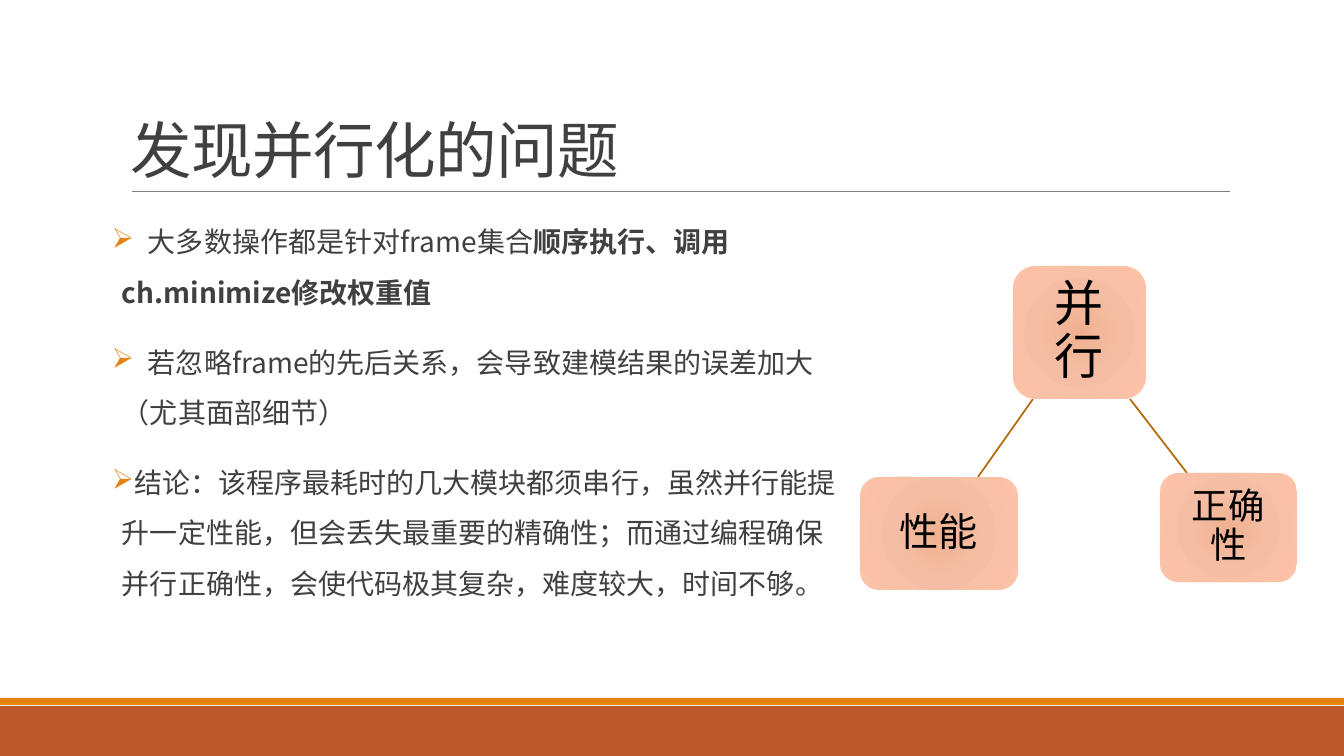
from dataclasses import dataclass

from lxml import etree
from pptx import Presentation
from pptx import util as u
from pptx.dml import color
from pptx.enum import shapes, text
from pptx.oxml import ns, parse_xml

PX_PER_INCH = 100.8


@dataclass(frozen=True)
class Theme:
    """Colours, font and type sizes of the slide."""
    font: str = "Noto Sans CJK SC"
    ink: str = "404040"
    black: str = "000000"
    rule: str = "808080"
    base: str = "BD582C"
    accent: str = "E48312"
    link: str = "B7690E"
    node: tuple = ((0, "F0B191"), (45, "F5BEA4"), (100, "FDC3A8"))
    title_size: int = 44
    body_size: int = 20


THEME = Theme()

POINTS = [
    [("\t大多数操作都是针对frame集合", False), ("顺序执行、调用ch.minimize修改权重值", True)],
    [("\t若忽略frame的先后关系，会导致建模结果的误差加大（尤其面部细节）", False)],
    [("结论：该程序最耗时的几大模块都须串行，虽然并行能提升一定性能，但会丢失最重要的精确性；"
      "而通过编程确保并行正确性，会使代码极其复杂，难度较大，时间不够。", False)],
]
NODES = [
    ("并行", 35, (1013, 266, 133, 133)),
    ("性能", 28, (860, 477, 158, 113)),
    ("正确性", 26, (1160, 473, 137, 109)),
]
LINKS = [(1033, 399, 978, 477), (1130, 399, 1187, 473)]


def px(*lengths):
    """Turn pixel lengths into EMU."""
    return [u.Emu(round(length * 914400 / PX_PER_INCH)) for length in lengths]


def rgb(code):
    """Turn a hex code into a colour."""
    return color.RGBColor.from_string(code)


def apply(target, formats):
    """Set each format value on the target."""
    for name, value in formats.items():
        setattr(target, name, value)


def add_span(para, words, size, ink, bold=False):
    """Add a run in the theme font for Latin and East Asian text."""
    span = para.add_run()
    span.text = words
    apply(span.font, {"name": THEME.font, "size": u.Pt(size), "bold": bold})
    span.font.color.rgb = rgb(ink)
    properties = span._r.get_or_add_rPr()
    etree.SubElement(properties, ns.qn("a:ea"), typeface=THEME.font)
    return properties


def set_frame(frame, anchor, side, edge):
    """Set wrapping, anchor and insets of a text frame."""
    side, edge = px(side, edge)
    apply(frame, {"word_wrap": True, "auto_size": text.MSO_AUTO_SIZE.NONE,
                  "vertical_anchor": anchor, "margin_left": side,
                  "margin_right": side, "margin_top": edge, "margin_bottom": edge})


def add_bar(page, top, height, fill):
    """Add a full-width bar."""
    bar = page.shapes.add_shape(shapes.MSO_SHAPE.RECTANGLE, *px(0, top, 1344, height))
    bar.shadow.inherit = False
    bar.fill.solid()
    bar.fill.fore_color.rgb = rgb(fill)
    bar.line.fill.background()


def add_line(page, ends, ink, width):
    """Add a straight line without shadow."""
    line = page.shapes.add_connector(shapes.MSO_CONNECTOR.STRAIGHT, *px(*ends))
    line.line.color.rgb = rgb(ink)
    line.line.width = u.Pt(width)
    etree.SubElement(line._element.spPr, ns.qn("a:effectLst"))


def set_title(page, words):
    """Place and fill the title."""
    title = page.shapes.title
    apply(title, dict(zip(("left", "top", "width", "height"), px(121, 31, 1109, 160))))
    set_frame(title.text_frame, text.MSO_ANCHOR.BOTTOM, 10, 5)
    para = title.text_frame.paragraphs[0]
    apply(para, {"alignment": text.PP_ALIGN.LEFT, "line_spacing": 0.85})
    add_span(para, words, THEME.title_size, THEME.ink).set("spc", "-50")


def add_bullet(para):
    """Give a paragraph an arrow bullet, a hanging indent and a tab stop."""
    indent, stop = px(10, 36)
    properties = para._p.get_or_add_pPr()
    properties.set("marL", str(indent))
    properties.set("indent", str(-indent))
    tint = etree.SubElement(properties, ns.qn("a:buClr"))
    etree.SubElement(tint, ns.qn("a:srgbClr"), val=THEME.accent)
    etree.SubElement(properties, ns.qn("a:buChar"), char="➢")
    tabs = etree.SubElement(properties, ns.qn("a:tabLst"))
    etree.SubElement(tabs, ns.qn("a:tab"), pos=str(stop), algn="l")


def add_points(page, points):
    """Add the bulleted text."""
    box = page.shapes.add_textbox(*px(112, 203, 731, 482))
    frame = box.text_frame
    set_frame(frame, text.MSO_ANCHOR.TOP, 0, 5)
    for index, spans in enumerate(points):
        para = frame.add_paragraph() if index else frame.paragraphs[0]
        add_bullet(para)
        apply(para, {"line_spacing": 1.5, "space_before": u.Pt(12 if index else 0),
                     "space_after": u.Pt(2)})
        for words, bold in spans:
            add_span(para, words, THEME.body_size, THEME.ink, bold)


def add_node(page, words, size, place):
    """Add a rounded box with a radial gradient and a centred label."""
    node = page.shapes.add_shape(shapes.MSO_SHAPE.ROUNDED_RECTANGLE, *px(*place))
    node.shadow.inherit = False
    node.line.fill.background()
    stops = "".join(f'<a:gs pos="{at * 1000}"><a:srgbClr val="{tint}"/></a:gs>'
                    for at, tint in THEME.node)
    corner = " ".join(f'{side}="100000"' for side in "ltrb")
    node._element.spPr.find(ns.qn("a:prstGeom")).addnext(parse_xml(
        f'<a:gradFill {ns.nsdecls("a")}><a:gsLst>{stops}</a:gsLst>'
        f'<a:path path="circle"><a:fillToRect {corner}/></a:path></a:gradFill>'))
    set_frame(node.text_frame, text.MSO_ANCHOR.MIDDLE, 12, 12)
    para = node.text_frame.paragraphs[0]
    apply(para, {"alignment": text.PP_ALIGN.CENTER, "line_spacing": 0.9})
    add_span(para, words, size, THEME.black)


def main():
    """Build and save the slide."""
    deck = Presentation()
    apply(deck, dict(zip(("slide_width", "slide_height"), px(1344, 756))))
    page = deck.slides.add_slide(deck.slide_layouts[5])
    add_bar(page, 706, 50, THEME.base)
    add_bar(page, 698, 7, THEME.accent)
    add_line(page, (132, 191, 1230, 191), THEME.rule, 0.5)
    set_title(page, "发现并行化的问题")
    add_points(page, POINTS)
    for ends in LINKS:
        add_line(page, ends, THEME.link, 1.25)
    for node in NODES:
        add_node(page, *node)
    deck.save("out.pptx")


if __name__ == "__main__":
    main()
